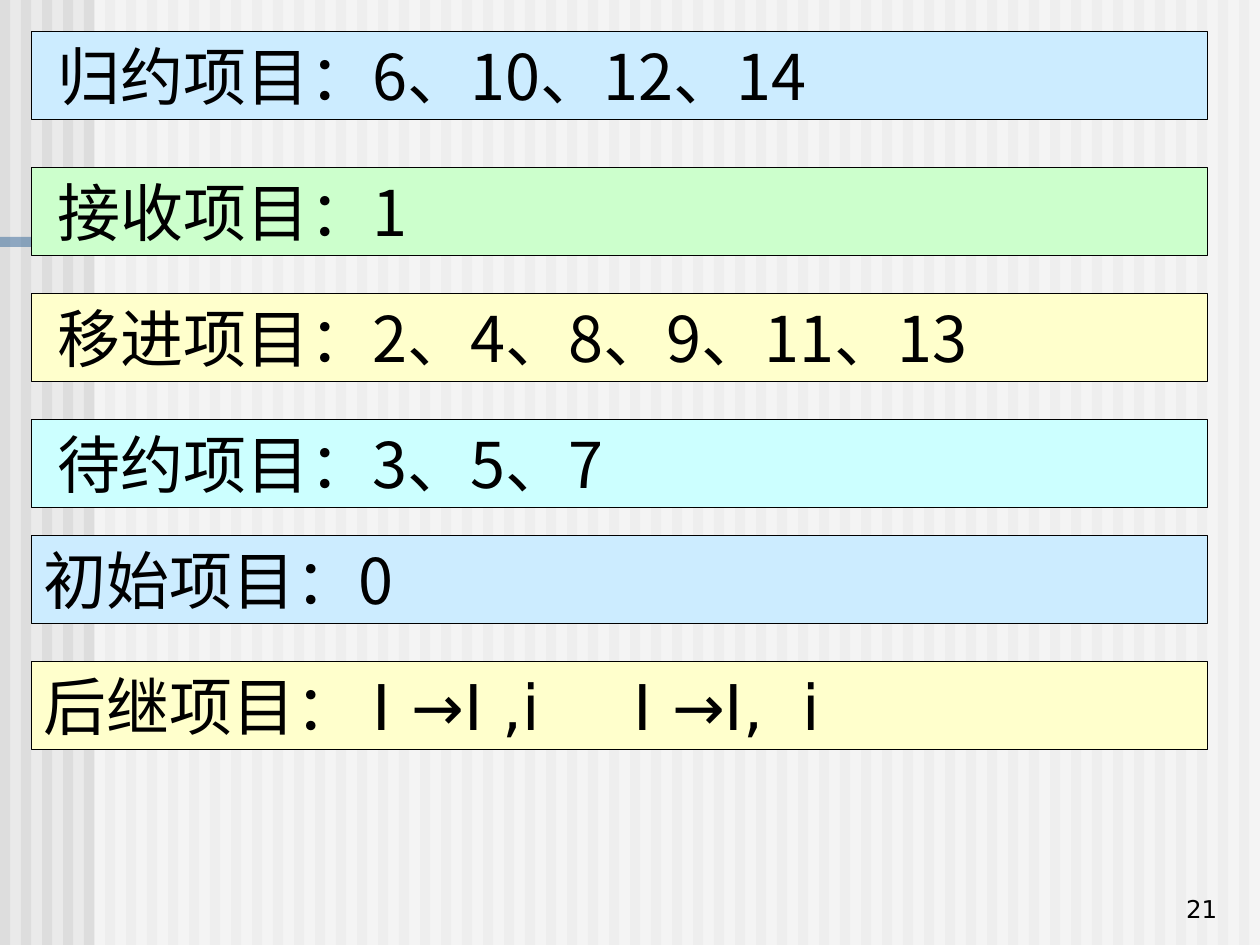
from lxml import etree
from pptx import Presentation
from pptx import util as u
from pptx.dml.color import RGBColor
from pptx.enum import shapes, text
from pptx.oxml.ns import qn

CJK, LATIN = "Noto Sans CJK JP", "DejaVu Sans"


def rgb(color):
    return RGBColor.from_string(color)


def add_rect(s, left, top, width, height, fill, line=None, opacity=None):
    sp = s.shapes.add_shape(shapes.MSO_SHAPE.RECTANGLE, u.Inches(left),
                            u.Inches(top), u.Inches(width), u.Inches(height))
    sp.shadow.inherit = False
    sp.fill.solid()
    sp.fill.fore_color.rgb = rgb(fill)
    if opacity is not None:
        clr = sp.fill._xPr.find(qn("a:solidFill"))[0]
        etree.SubElement(clr, qn("a:alpha"), val=str(opacity * 1000))
    if line:
        sp.line.color.rgb = rgb(line)
        sp.line.width = u.Pt(0.26)
    else:
        sp.line.fill.background()
    return sp


def add_text(p, content, size=36, font=CJK, color="000000"):
    r = p.add_run()
    r.text = content
    r.font.size = u.Pt(size)
    r.font.name = font
    r.font.color.rgb = rgb(color)
    etree.SubElement(r._r.get_or_add_rPr(), qn("a:ea"), typeface=font)


def set_tabs(p, stops):
    tabs = etree.SubElement(p._p.get_or_add_pPr(), qn("a:tabLst"))
    for stop in stops:
        etree.SubElement(tabs, qn("a:tab"), pos=str(u.Inches(stop)), algn="l")


def backdrop(s, width, height):
    s.background.fill.solid()
    s.background.fill.fore_color.rgb = rgb("EAEAEA")
    # Stripes, six to the inch
    for i in range(width * 6):
        add_rect(s, i / 6, 0, 0.08, height, "DDDDDD")
    # Pale veil and accent bar
    add_rect(s, 0.75, 0, width - 0.75, height, "FFFFFF", opacity=50)
    add_rect(s, 0, 1.88, 7.6, 0.08, "336699", opacity=50)


def item_bar(s, left, top, width, height, fill, runs, stops=()):
    sp = add_rect(s, left, top, width, height, fill, line="000000")
    tf = sp.text_frame
    tf.word_wrap = True
    tf.vertical_anchor = text.MSO_ANCHOR.MIDDLE
    p = tf.paragraphs[0]
    p.alignment = text.PP_ALIGN.LEFT
    if stops:
        set_tabs(p, stops)
    for content, font in runs:
        add_text(p, content, font=font)


def page_number(s, left, top, width, height, number):
    sp = s.shapes.add_textbox(u.Inches(left), u.Inches(top),
                              u.Inches(width), u.Inches(height))
    tf = sp.text_frame
    tf.word_wrap = True
    tf.vertical_anchor = text.MSO_ANCHOR.BOTTOM
    p = tf.paragraphs[0]
    p.alignment = text.PP_ALIGN.RIGHT
    add_text(p, number, size=14, font=LATIN)


prs = Presentation()
prs.slide_width, prs.slide_height = u.Inches(10), u.Inches(7.5)
s = prs.slides.add_slide(prs.slide_layouts[6])
backdrop(s, 10, 7.5)

# Item kinds: top, fill, text runs, tab stops
items = [
    (0.25, "CCECFF", [(" 归约项目：6、10、12、14", CJK)], ()),
    (1.33, "CCFFCC", [(" 接收项目：1", CJK)], ()),
    (2.33, "FFFFCC", [(" 移进项目：2、4、8、9、11、13", CJK)], ()),
    (3.33, "CCFFFF", [(" 待约项目：3、5、7", CJK)], ()),
    (4.25, "CCECFF", [("初始项目：0", CJK)], ()),
    (5.25, "FFFFCC", [("后继项目： ", CJK),
                      ("I →I ,i\tI →I,\ti", LATIN)], (4.68, 6.02)),
]
for top, fill, runs, stops in items:
    item_bar(s, 0.25, top, 9.33, 0.7, fill, runs, stops)

page_number(s, 7.68, 6.88, 2.08, 0.5, "21")
prs.save("out.pptx")
